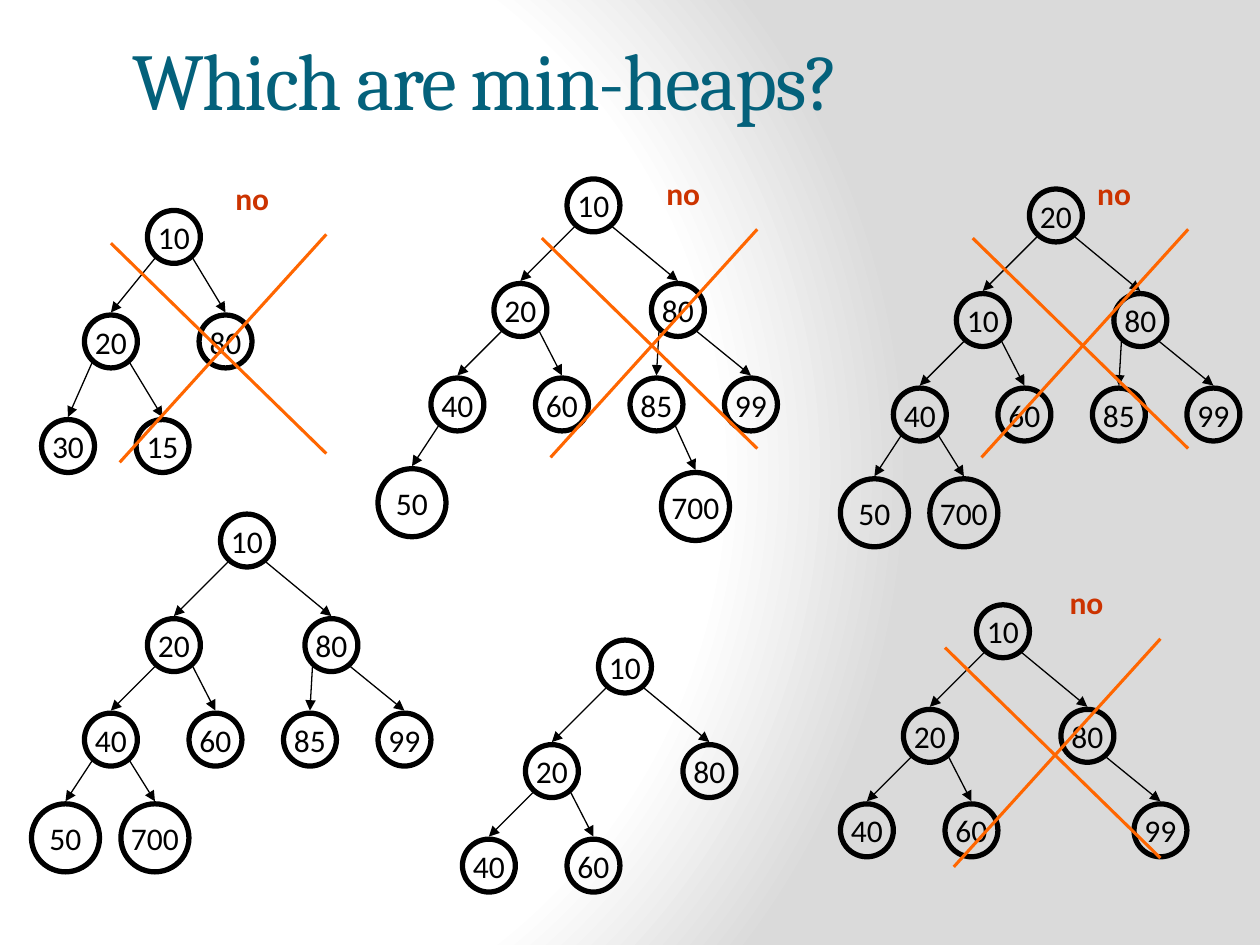
from pptx import Presentation
from pptx import util as u
from pptx import oxml
from pptx.dml.color import RGBColor
from pptx.enum import shapes, text
from pptx.oxml import ns

BLACK, ORANGE, RED, TEAL = "000000", "FF6600", "CC3300", "04617B"
SMALL, LARGE = 0.42, 0.54

# Heap index -> centre x and top y, measured from the root
WIDE = {1: (0, 0), 2: (-0.58, 0.83), 3: (0.67, 0.83),
        4: (-1.08, 1.58), 5: (-0.25, 1.58), 6: (0.5, 1.58), 7: (1.25, 1.58),
        8: (-1.44, 2.3), 9: (-0.73, 2.3), 13: (0.81, 2.33)}
NARROW = {1: (0, 0), 2: (-0.5, 0.83), 3: (0.41, 0.83),
          4: (-0.84, 1.66), 5: (-0.09, 1.66)}

TREES = [
    (1.38, 1.67, NARROW, {1: 10, 2: 20, 3: 80, 4: 30, 5: 15}),
    (1.96, 4.08, WIDE, {1: 10, 2: 20, 3: 80, 4: 40, 5: 60, 6: 85, 7: 99, 8: 50, 9: 700}),
    (4.71, 1.42, WIDE, {1: 10, 2: 20, 3: 80, 4: 40, 5: 60, 6: 85, 7: 99, 8: 50, 13: 700}),
    (8.38, 1.5, WIDE, {1: 20, 2: 10, 3: 80, 4: 40, 5: 60, 6: 85, 7: 99, 8: 50, 9: 700}),
    (4.96, 5.08, WIDE, {1: 10, 2: 20, 3: 80, 4: 40, 5: 60}),
    (7.96, 4.8, WIDE, {1: 10, 2: 20, 3: 80, 4: 40, 5: 60, 7: 99}),
]
CROSSES = [(0.88, 1.86), (4.3, 1.82), (7.5, 5.07), (7.72, 1.82)]


def color(value):
    return RGBColor.from_string(value)


def style_font(font, name, size, value, bold=False):
    font.name, font.size, font.bold = name, u.Pt(size), bold
    font.color.rgb = color(value)


def add_line(parent, start, end, value, width, arrow=False):
    line = parent.add_connector(shapes.MSO_CONNECTOR.STRAIGHT,
                                *(u.Inches(n) for n in (*start, *end)))
    line.line.color.rgb = color(value)
    line.line.width = u.Pt(width)
    if arrow:
        outline = line.line._get_or_add_ln()
        outline.append(oxml.parse_xml(f'<a:tailEnd {ns.nsdecls("a")} type="triangle"/>'))
    line._element.spPr.append(oxml.parse_xml(f'<a:effectLst {ns.nsdecls("a")}/>'))


def add_node(page, center, top, size, value):
    node = page.shapes.add_shape(shapes.MSO_SHAPE.OVAL, u.Inches(center - size / 2),
                                 u.Inches(top), u.Inches(size), u.Inches(size))
    node.shadow.inherit = False
    node.fill.background()
    node.line.color.rgb = color(BLACK)
    node.line.width = u.Pt(3)
    frame = node.text_frame
    frame.word_wrap = False
    frame.vertical_anchor = text.MSO_ANCHOR.MIDDLE
    para = frame.paragraphs[0]
    para.text = str(value)
    para.alignment = text.PP_ALIGN.CENTER
    style_font(para.font, "Calibri", 18, BLACK)


def add_tree(page, left, top, layout, values):
    places = {index: (left + layout[index][0], top + layout[index][1]) for index in values}
    for index, (x, y) in places.items():
        add_node(page, x, y, LARGE if index > 7 else SMALL, values[index])
        if index > 1:
            parent_x, parent_y = places[index // 2]
            side = 0.15 if index % 2 else -0.15
            add_line(page.shapes, (parent_x + side, parent_y + 0.38), (x, y - 0.02),
                     BLACK, 0.75, arrow=True)


def add_cross(page, left, top):
    group = page.shapes.add_group_shape().shapes
    add_line(group, (left, top + 0.07), (left + 1.71, top + 1.74), ORANGE, 1.75)
    add_line(group, (left + 0.07, top + 1.81), (left + 1.71, top), ORANGE, 1.75)
    box = group.add_textbox(u.Inches(left + 0.89), u.Inches(top - 0.49),
                            u.Inches(1.56), u.Inches(0.4))
    box.text_frame.word_wrap = True
    box.text_frame.auto_size = text.MSO_AUTO_SIZE.SHAPE_TO_FIT_TEXT
    para = box.text_frame.paragraphs[0]
    para.text = "no"
    style_font(para.font, "Calibri", 18, RED, bold=True)


def add_title(page, words):
    title = page.shapes.title
    title.left, title.top = u.Inches(0.95), u.Inches(0)
    title.width, title.height = u.Inches(8.1), u.Inches(1.25)
    title.text_frame.vertical_anchor = text.MSO_ANCHOR.MIDDLE
    para = title.text_frame.paragraphs[0]
    para.text = words
    para.alignment = text.PP_ALIGN.LEFT
    style_font(para.font, "Cambria", 46, TEAL)
    para.runs[0].font._element.set("spc", "-100")


def set_background(page):
    stops = "".join(f'<a:gs pos="{place * 1000}"><a:srgbClr val="{value}"/></a:gs>'
                    for place, value in ((0, "FFFFFF"), (75, "FFFFFF"), (100, "DADADA")))
    page._element.cSld.insert(0, oxml.parse_xml(
        f'<p:bg {ns.nsdecls("p", "a")}><p:bgPr><a:gradFill rotWithShape="1">'
        f'<a:gsLst>{stops}</a:gsLst><a:path path="circle">'
        '<a:fillToRect l="20000" t="50000" r="100000" b="50000"/></a:path>'
        '</a:gradFill><a:effectLst/></p:bgPr></p:bg>'))


deck = Presentation()
deck.slide_width, deck.slide_height = u.Inches(10), u.Inches(7.5)
page = deck.slides.add_slide(deck.slide_layouts[5])
set_background(page)
add_title(page, "Which are min-heaps?")
for tree in TREES:
    add_tree(page, *tree)
for cross in CROSSES:
    add_cross(page, *cross)
deck.save("out.pptx")
